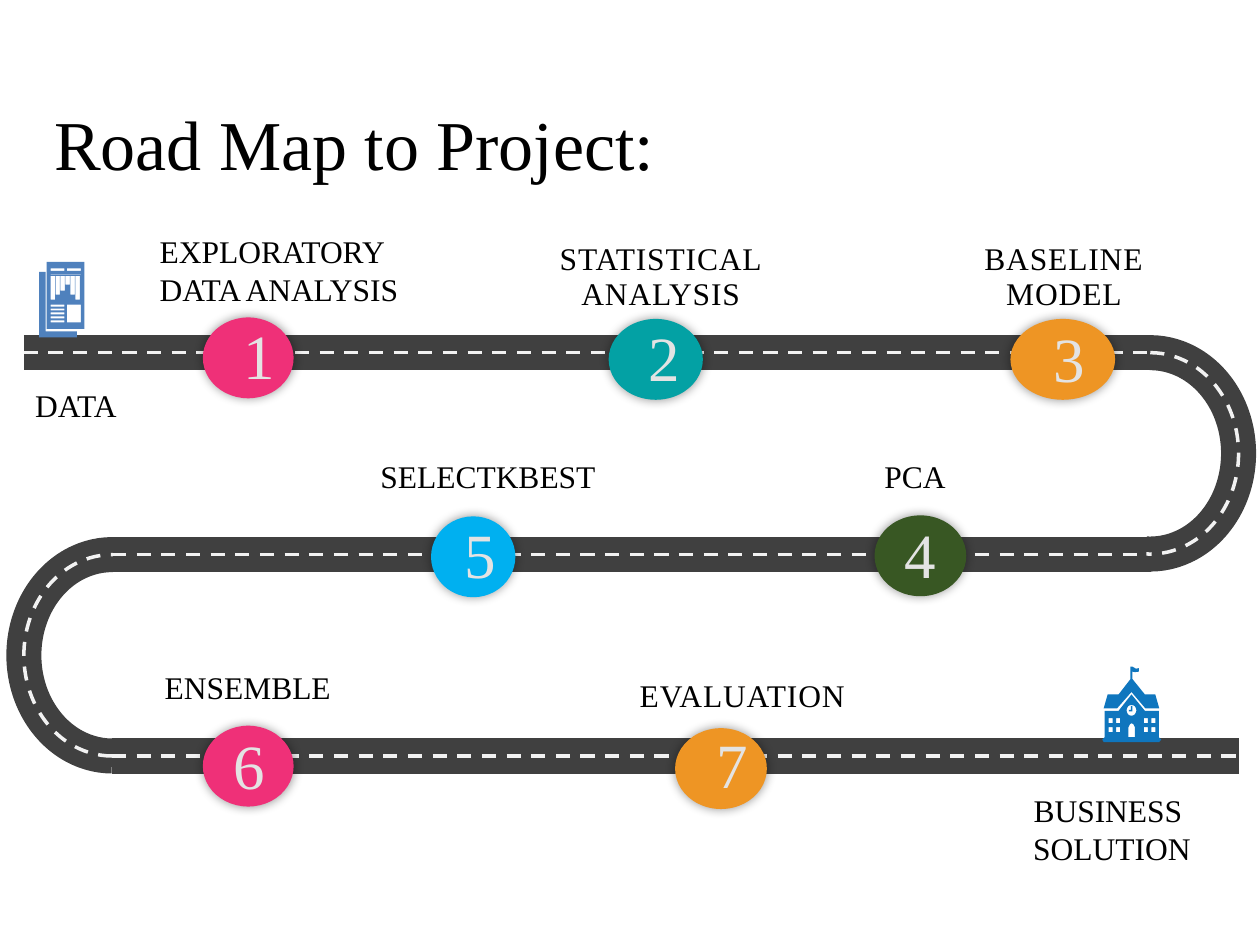
"""Build the project road map slide."""
import dataclasses
import math

import pptx
import pptx.dml.color
import pptx.enum.dml
import pptx.enum.shapes
import pptx.enum.text
import pptx.oxml
import pptx.oxml.ns
import pptx.util

Cm, Pt = pptx.util.Cm, pptx.util.Pt
SHAPE = pptx.enum.shapes.MSO_SHAPE
ALIGN = pptx.enum.text.PP_ALIGN


@dataclasses.dataclass(frozen=True)
class Theme:
    font: str = "Times New Roman"
    ink: str = "000000"
    digit: str = "E3E3E3"
    road: str = "404040"
    lane: str = "F2F2F2"
    pink: str = "EF3078"
    teal: str = "03A1A4"
    orange: str = "EE9524"
    green: str = "385723"
    sky: str = "00B0F0"
    school: str = "0F76BE"
    report: str = "4F81BD"
    title_size: int = 40
    digit_size: int = 36
    label_size: int = 18
    road_width: int = 20
    lane_width: int = 2


THEME = Theme()
ROWS = (7.11, 11.18, 15.24)
LEFT, LEFT_BEND, RIGHT_BEND, RIGHT = 0.48, 2.26, 23.2, 24.97
BEND_WIDTH, BEND_HEIGHT = 3.56, 4.06

STOPS = [
    ("1", THEME.pink, (4.09, 6.4, 1.83), (4.65, 6.25, 0.84)),
    ("2", THEME.teal, (12.27, 6.43, 1.9), (12.83, 6.3, 0.74)),
    ("3", THEME.orange, (20.37, 6.43, 2.11), (20.98, 6.32, 0.84)),
    ("4", THEME.green, (17.63, 10.39, 1.85), (17.98, 10.26, 1.07)),
    ("5", THEME.sky, (8.69, 10.41, 1.7), (9.12, 10.26, 0.84)),
    ("6", THEME.pink, (4.09, 14.63, 1.83), (4.45, 14.53, 1.04)),
    ("7", THEME.orange, (13.61, 14.68, 1.85), (14.2, 14.5, 0.84)),
]
SPACED_LABELS = [
    ("BASELINE MODEL", (19.61, 4.88, 3.68, 1.42)),
    ("EVALUATION", (12.5, 13.69, 4.93, 0.71)),
    ("STATISTICAL ANALYSIS", (10.97, 4.88, 4.7, 1.5)),
]
PLAIN_LABELS = [
    ("EXPLORATORY DATA ANALYSIS", (2.97, 4.55, 5.41, 1.8)),
    ("PCA", (17.58, 9.09, 2.59, 1.02)),
    ("SELECTKBEST", (7.42, 9.09, 5.11, 1.02)),
    ("ENSEMBLE", (3.07, 13.34, 4.98, 1.02)),
    ("DATA", (0.46, 7.65, 2.49, 1.04)),
]


def rgb(value):
    return pptx.dml.color.RGBColor.from_string(value)


def add_effects(parent, blur=None, distance=0):
    namespace = pptx.oxml.ns.nsdecls("a")
    shadow = "" if blur is None else (
        f'<a:outerShdw blurRad="{Pt(blur)}" dist="{Pt(distance)}" dir="2700000">'
        '<a:srgbClr val="000000"><a:alpha val="40000"/></a:srgbClr></a:outerShdw>')
    parent.append(pptx.oxml.parse_xml(f"<a:effectLst {namespace}>{shadow}</a:effectLst>"))


def style_line(shape, color, width, dash):
    shape.line.color.rgb = rgb(color)
    shape.line.width = Pt(width)
    if dash:
        shape.line.dash_style = dash
    add_effects(shape._element.spPr)


def add_straight(shapes, start, end, row, *stroke):
    line = shapes.add_connector(pptx.enum.shapes.MSO_CONNECTOR.STRAIGHT,
                                Cm(start), Cm(row), Cm(end), Cm(row))
    style_line(line, *stroke)


def add_bend(shapes, left, top, rotation, sweep, *stroke):
    bend = shapes.add_shape(SHAPE.ARC, Cm(left), Cm(top), Cm(BEND_WIDTH), Cm(BEND_HEIGHT))
    bend.adjustments[0] = 162
    bend.adjustments[1] = sweep
    bend.rotation = rotation
    bend.fill.background()
    style_line(bend, *stroke)


def add_road(shapes, *stroke):
    top, middle, bottom = ROWS
    add_straight(shapes, LEFT, RIGHT_BEND, top, *stroke)
    add_bend(shapes, RIGHT - BEND_WIDTH, top, 0, 55.34, *stroke)
    add_straight(shapes, LEFT_BEND, RIGHT_BEND, middle, *stroke)
    add_bend(shapes, LEFT, middle, 180, 54.22, *stroke)
    add_straight(shapes, LEFT_BEND, RIGHT, bottom, *stroke)


def add_text(page, lines, bounds, size=THEME.label_size, color=THEME.ink,
             align=ALIGN.LEFT, spaced=False):
    box = page.shapes.add_textbox(*map(Cm, bounds))
    frame = box.text_frame
    frame.word_wrap = True
    frame.auto_size = pptx.enum.text.MSO_AUTO_SIZE.SHAPE_TO_FIT_TEXT
    if spaced:
        frame.margin_left = frame.margin_right = frame.margin_top = frame.margin_bottom = 0
    frame.text = "\n".join(lines)
    for para in frame.paragraphs:
        para.alignment = align
        para.font.name = THEME.font
        para.font.size = Pt(size)
        para.font.color.rgb = rgb(color)
        if spaced:
            para.line_spacing = Pt(20)
            para._p.get_or_add_pPr().get_or_add_defRPr().set("spc", "50")
    return box


def add_stop(page, color, left, top, width):
    stop = page.shapes.add_shape(SHAPE.OVAL, Cm(left), Cm(top), Cm(width), Cm(1.63))
    stop.fill.solid()
    stop.fill.fore_color.rgb = rgb(color)
    stop.line.fill.background()
    add_effects(stop._element.spPr, blur=6)


def add_digit(page, digit, left, top, width):
    box = add_text(page, [digit], (left, top, width, 1.8), THEME.digit_size,
                   THEME.digit, ALIGN.CENTER)
    span = box.text_frame.paragraphs[0].runs[0]
    add_effects(span._r.get_or_add_rPr(), blur=4, distance=3)


def block(left, top, width, height):
    right, bottom = left + width, top + height
    return [(left, top), (right, top), (right, bottom), (left, bottom)]


def add_icon(page, contours, left, top, color):
    builder = page.shapes.build_freeform(*contours[0][0], scale=Cm(1) / 100)
    for index, contour in enumerate(contours):
        if index:
            builder.move_to(*contour[0])
        builder.add_line_segments(contour[1:], close=True)
    icon = builder.convert_to_shape(Cm(left), Cm(top))
    icon.shadow.inherit = False
    icon.fill.solid()
    icon.fill.fore_color.rgb = rgb(color)
    icon.line.fill.background()


def school_contours():
    roof = [(57, 0), (57, 25), (33, 56), (11, 56), (3, 84), (30, 84), (59, 51), (87, 84),
            (115, 84), (107, 56), (86, 56), (61, 25), (61, 10), (66, 11), (74, 10),
            (74, 3), (68, 4), (61, 0)]
    body = [(59, 56), (33, 89), (5, 89), (5, 142), (0, 147), (3, 152), (115, 152),
            (119, 147), (114, 142), (114, 89), (86, 89)]
    clock = [(59 + 10 * math.cos(math.tau * step / 16), 88 + 11 * math.sin(math.tau * step / 16))
             for step in range(16)]
    hand = [(58, 79), (61, 79), (61, 90), (54, 90), (54, 87), (58, 87)]
    door = [(53, 142), (53, 122), (56, 116), (59, 114), (63, 116), (66, 122), (66, 142)]
    windows = [block(left, top, 8, 10) for top in (104, 122) for left in (13, 28, 84, 99)]
    return [roof, body, clock, hand, door, *windows]


def report_contours():
    back = [(0, 20), (13, 20), (13, 140), (76, 140), (76, 152), (0, 152)]
    headings = [block(left, 13, 28, 5) for left in (23, 56)]
    bars = [block(23 + 10 * index, 28, 9, height)
            for index, height in enumerate((48, 38, 30, 18, 38, 48))]
    lines = [block(23, 86 + 8 * index, 28, 4) for index in range(5)]
    return [back, block(15, 0, 76, 135), *headings, block(23, 24, 61, 1), *bars,
            *lines, block(56, 86, 28, 36)]


def main():
    deck = pptx.Presentation()
    deck.slide_width, deck.slide_height = Cm(25.4), Cm(19.05)
    page = deck.slides.add_slide(deck.slide_layouts[6])
    road = page.shapes.add_group_shape().shapes
    add_road(road, THEME.road, THEME.road_width, None)
    add_road(road, THEME.lane, THEME.lane_width, pptx.enum.dml.MSO_LINE.DASH)
    for label, bounds in SPACED_LABELS:
        add_text(page, [label], bounds, align=ALIGN.CENTER, spaced=True)
    add_icon(page, school_contours(), 22.22, 13.44, THEME.school)
    add_icon(page, report_contours(), 0.79, 5.28, THEME.report)
    for _, color, oval, _ in STOPS:
        add_stop(page, color, *oval)
    for digit, _, _, place in STOPS:
        add_digit(page, digit, *place)
    add_text(page, ["Road Map to Project:"], (0.84, 1.91, 21.64, 1.96), THEME.title_size)
    for label, bounds in PLAIN_LABELS:
        add_text(page, [label], bounds)
    add_text(page, ["BUSINESS ", "SOLUTION"], (20.37, 15.82, 4.09, 1.8), align=ALIGN.CENTER)
    deck.save("out.pptx")


if __name__ == "__main__":
    main()
